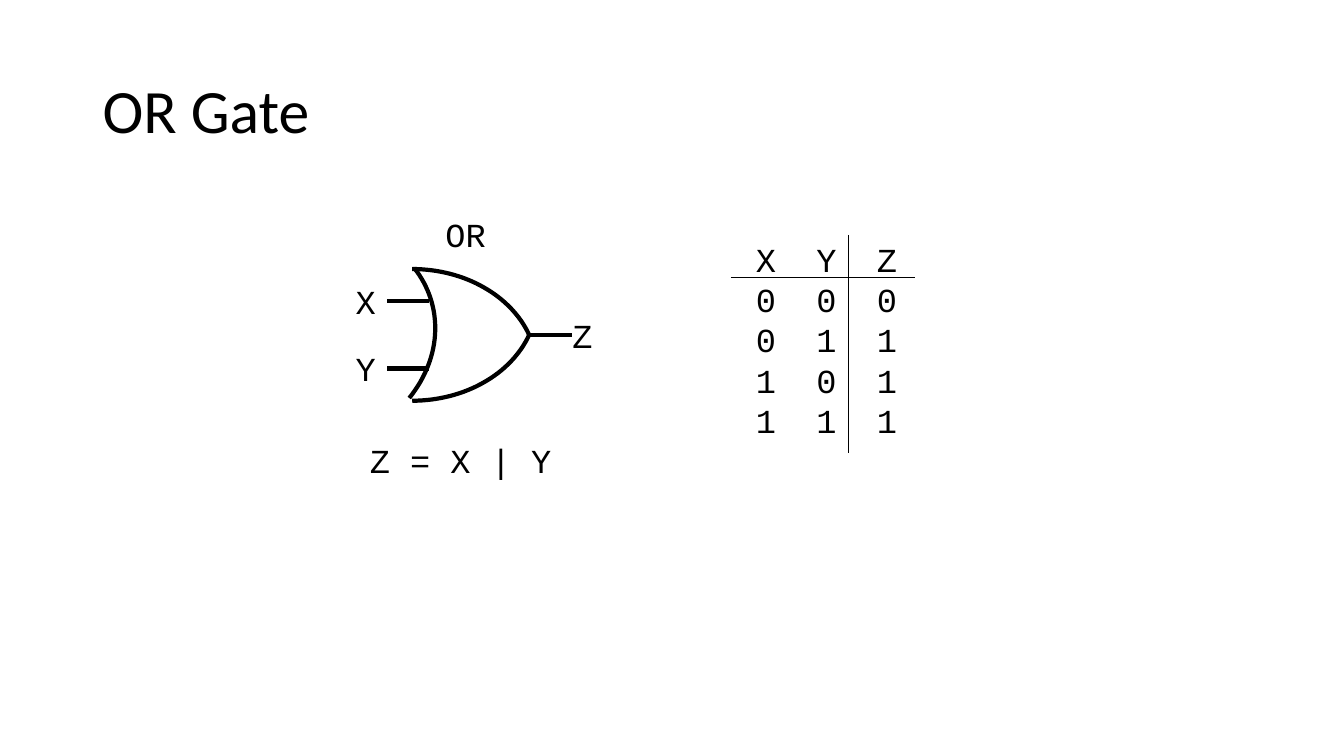
from pptx import Presentation
from pptx import util as u
from pptx.dml.color import RGBColor
from pptx.enum import shapes, text
from pptx.oxml import parse_xml
from pptx.oxml.ns import nsdecls, qn
from lxml import etree

theme = dict(ink=RGBColor(0, 0, 0), head=("Calibri", 44), code=("Courier New", 24),
             bold=3, thin=0.75)
truth = [("X", "Y", "Z"), (0, 0, 0), (0, 1, 1), (1, 0, 1), (1, 1, 1)]

cols = 40
mid, half, bend, pin = 9.97, 1.96, 1.17, 1.0
back, tip, stub = 12.27, 15.75, 1.26
tall, glyph, pad = 1.5, 0.6, 0.3
inputs = [("X", mid - pin), ("Y", mid + pin)]
labels = [(name, 10.29, row) for name, row in inputs]
labels += [("Z", 16.74, mid), ("OR", 12.96, 6.96), ("Z = X | Y", 10.71, 13.71)]
wires = [(11.52, row, 11.52 + stub, row) for name, row in inputs]
wires += [(tip, mid, tip + stub, mid)]
rules = [(21.75, 8.25, 27.24, 8.25), (25.26, 6.99, 25.26, 13.5)]
edges = [[(back, mid + s * half), (13.83, mid + s * half),
          (15.21, mid + s * bend), (tip, mid)] for s in (-1, 1)]
edges += [[(12.33, 7.98), (13.2, 9.09), (13.17, 10.62), (12.18, 11.85)]]

deck = Presentation()
deck.slide_width, deck.slide_height = u.Inches(13.33), u.Inches(7.5)
slide = deck.slides.add_slide(deck.slide_layouts[6])
cell = u.Inches(13.33) / cols


def size(*vals):
    return [round(v * cell) for v in vals]


def write(lines, box, font, wrap=False):
    frame = slide.shapes.add_textbox(*size(*box)).text_frame
    frame.word_wrap = wrap
    for i, line in enumerate(lines):
        para = frame.paragraphs[0] if i == 0 else frame.add_paragraph()
        run = para.add_run()
        run.text = line
        run.font.name, run.font.size = font[0], u.Pt(font[1])
        run.font.color.rgb = theme["ink"]
    return frame


def ink(line, width):
    line.color.rgb, line.width = theme["ink"], u.Pt(width)


def draw(ends, width):
    wire = slide.shapes.add_connector(shapes.MSO_CONNECTOR.STRAIGHT, *size(*ends))
    ink(wire.line, width)
    etree.SubElement(wire._element.spPr, qn("a:effectLst"))


def curve(ctrl, steps=32):
    dots = []
    for i in range(steps + 1):
        t = i / steps
        mix = ((1 - t) ** 3, 3 * t * (1 - t) ** 2, 3 * t * t * (1 - t), t ** 3)
        dots.append(size(*(sum(m * p[k] for m, p in zip(mix, ctrl)) for k in (0, 1))))
    form = slide.shapes.build_freeform(*dots[0])
    form.add_line_segments(dots[1:], close=False)
    shape = form.convert_to_shape()
    shape.fill.background()
    shape.shadow.inherit = False
    ink(shape.line, theme["bold"])


title = write(["OR Gate"], (2.76, 1.2, 34.5, 4.35), theme["head"], True)
title.vertical_anchor = text.MSO_ANCHOR.MIDDLE
title.paragraphs[0].line_spacing = 0.9

for edge in edges:
    curve(edge)
for ends in wires:
    draw(ends, theme["bold"])
for name, left, row in labels:
    wide = len(name) * glyph + 2 * pad
    write([name], (left, row - tall / 2, wide, tall), theme["code"])

grid = write(["\t".join(map(str, row)) for row in truth],
             (22.2, 6.96, 4.83, 6.36), theme["code"], True)
for para in grid.paragraphs:
    tabs = "".join(f'<a:tab pos="{u.Inches(0.6 * n)}" algn="l"/>' for n in (1, 2))
    para._p.get_or_add_pPr().append(
        parse_xml(f'<a:tabLst {nsdecls("a")}>{tabs}</a:tabLst>'))
for ends in rules:
    draw(ends, theme["thin"])

deck.save("out.pptx")
